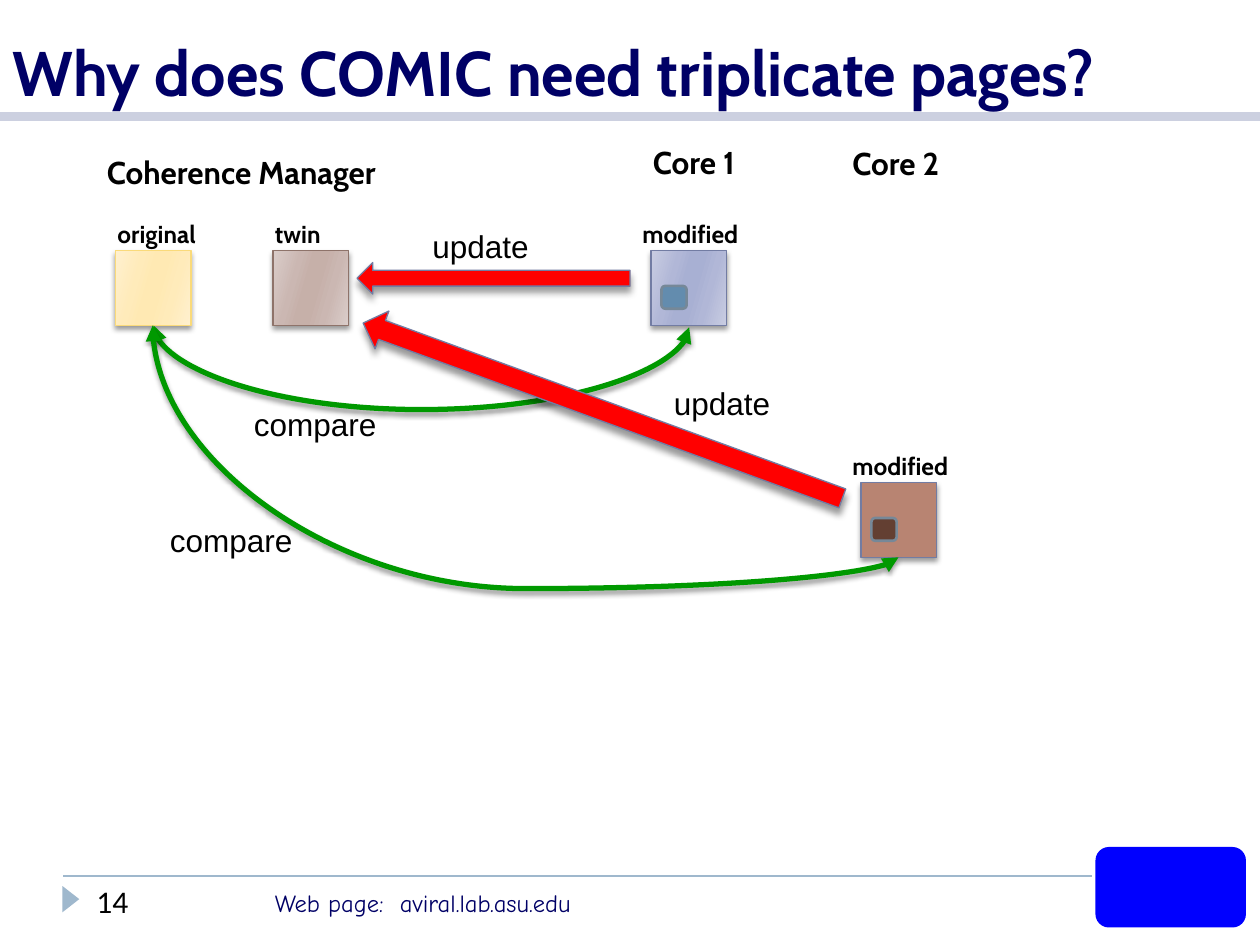
"""Build the slide on why COMIC keeps three versions of each page."""
import pptx
import pptx.util
import pptx.dml.color
import pptx.enum.shapes
import pptx.enum.text
import pptx.oxml
import pptx.oxml.ns

Pt = pptx.util.Pt
SHAPES = pptx.enum.shapes.MSO_SHAPE
CONNECTORS = pptx.enum.shapes.MSO_CONNECTOR
NAMESPACE = pptx.oxml.ns.nsdecls("a")

COLORS = {
    "navy": "000066", "black": "000000", "band": "CCD0E0", "rule": "9FB8CD",
    "red": "FF0000", "green": "009900", "outline": "727CA3", "mark line": "768898",
    "blue mark": "638CAE", "brown mark": "633F32", "brown": "B88472",
    "yellow line": "FADA7A", "taupe line": "8E736A", "emblem": "0000FF",
}
GRADIENTS = {
    "blue": ("C9CDE2", "B1B7D7", "A8B0D3"),
    "taupe": ("DACDCA", "CBB7B2", "C6B0A9"),
    "yellow": ("FFF0CF", "FFEBBA", "FFE9B3"),
}
GRADIENT_STOPS = ((0, 0), (30, 1), (45, 2), (55, 2), (73, 1), (100, 0))

STYLES = {
    "title": {"name": "Cabin", "size": Pt(36), "bold": True, "color": "navy"},
    "heading": {"name": "Cabin", "size": Pt(18), "bold": True, "color": "black"},
    "page": {"name": "Cabin", "size": Pt(14), "bold": True, "color": "black"},
    "action": {"name": "Arial", "size": Pt(18), "bold": False, "color": "black"},
    "number": {"name": "Calibri", "size": Pt(18), "bold": False, "color": "black"},
    "footer": {"name": "Comic Neue", "size": Pt(14), "bold": False, "color": "navy"},
}
TEXTS = [
    ("Why does COMIC need triplicate pages?", "title", (0, 0, 720, 66)),
    ("Coherence Manager", "heading", (54, 84, 186, 29)),
    ("Core 1", "heading", (366, 78, 72, 29)),
    ("Core 2", "heading", (480, 79, 78, 29)),
    ("original", "page", (60, 121.8, 66, 24)),
    ("twin", "page", (150, 121.8, 48, 24)),
    ("modified", "page", (360, 121.8, 72, 24)),
    ("modified", "page", (480, 254, 72, 24)),
    ("update", "action", (240, 126, 90, 29)),
    ("update", "action", (378, 216, 90, 29)),
    ("compare", "action", (138, 228, 90, 29)),
    ("compare", "action", (90, 294, 90, 29)),
    ("14", "number", (48, 500.6, 101, 29)),
    ("Web page:\u00a0 aviral.lab.asu.edu".replace("\u00a0", " "), "footer", (150, 504, 270, 24)),
]
PAGE_SIZE = (43.2, 42.8)
PAGES = [
    ((66, 143.2), "yellow", "yellow line", None),
    ((156, 143.2), "taupe", "taupe line", None),
    ((372, 143.2), "blue", "outline", "blue mark"),
    ((492, 275.8), "brown", "outline", "brown mark"),
]
COMPARISONS = [((87.8, 186), (393.8, 187), 234.4), ((87.2, 186), (513.4, 318.5), 336.4)]
UPDATES = [((204, 150, 156, 18), 0), ((198.6, 223.2, 291.6, 23), 20.1)]
RULES = [((36, 500.4), (624, 500.4), "rule", 1), ((0, 66.4), (720, 66.4), "band", 5)]


def rgb(name):
    return pptx.dml.color.RGBColor.from_string(COLORS[name])


def add_effects(shape, blur=None, distance=None):
    shadow = "" if blur is None else (
        f'<a:outerShdw blurRad="{Pt(blur)}" dist="{Pt(distance)}" dir="5400000" rotWithShape="0">'
        '<a:srgbClr val="000000"><a:alpha val="40000"/></a:srgbClr></a:outerShdw>')
    shape._element.spPr.append(pptx.oxml.parse_xml(f"<a:effectLst {NAMESPACE}>{shadow}</a:effectLst>"))


def add_text(slide, text, style, box):
    frame = slide.shapes.add_textbox(*map(Pt, box)).text_frame
    anchors = pptx.enum.text.MSO_ANCHOR
    frame.word_wrap = True
    frame.vertical_anchor = anchors.BOTTOM if style == "title" else anchors.TOP
    paragraph = frame.paragraphs[0]
    paragraph.text = text
    for attribute, value in STYLES[style].items():
        if attribute == "color":
            paragraph.font.color.rgb = rgb(value)
        else:
            setattr(paragraph.font, attribute, value)


def fill_gradient(shape, colors):
    shape.fill.gradient()
    shape.fill.gradient_angle = 344
    stops = shape._element.spPr.find(".//" + pptx.oxml.ns.qn("a:gsLst"))
    for stop in list(stops):
        stops.remove(stop)
    for position, index in GRADIENT_STOPS:
        stops.append(pptx.oxml.parse_xml(
            f'<a:gs {NAMESPACE} pos="{position * 1000}"><a:srgbClr val="{colors[index]}"/></a:gs>'))


def add_figure(slide, kind, box, fill, line=None, width=0.75, rotation=0, shadow=None):
    shape = slide.shapes.add_shape(kind, *map(Pt, box))
    shape.rotation = rotation
    if fill in GRADIENTS:
        fill_gradient(shape, GRADIENTS[fill])
    else:
        shape.fill.solid()
        shape.fill.fore_color.rgb = rgb(fill)
    if line:
        shape.line.color.rgb = rgb(line)
        shape.line.width = Pt(width)
    else:
        shape.line.fill.background()
    if shadow:
        add_effects(shape, *shadow)
    else:
        shape.shadow.inherit = False


def add_line(slide, kind, start, end, color, width):
    connector = slide.shapes.add_connector(kind, *map(Pt, start + end))
    connector.line.color.rgb = rgb(color)
    connector.line.width = Pt(width)
    return connector


def add_comparison(slide, start, end, floor):
    (left, top), (right, bottom) = start, end
    span, drop = right - left, bottom - top
    center_x, center_y = (left + right) / 2, (top + bottom) / 2
    connector = add_line(slide, CONNECTORS.CURVE, (center_x + drop / 2, center_y - span / 2),
                         (center_x - drop / 2, center_y + span / 2), "green", 3)
    properties = connector._element.spPr
    properties.find(pptx.oxml.ns.qn("a:xfrm")).set("rot", str(270 * 60000))
    bend = round((floor - top) / drop * 100000)
    properties.find(".//" + pptx.oxml.ns.qn("a:avLst")).append(
        pptx.oxml.parse_xml(f'<a:gd {NAMESPACE} name="adj1" fmla="val {bend}"/>'))
    for tag in ("headEnd", "tailEnd"):
        properties.find(pptx.oxml.ns.qn("a:ln")).append(
            pptx.oxml.parse_xml(f'<a:{tag} {NAMESPACE} type="triangle"/>'))
    add_effects(connector, 3, 2)


def main():
    presentation = pptx.Presentation()
    presentation.slide_width, presentation.slide_height = Pt(720), Pt(540)
    slide = presentation.slides.add_slide(presentation.slide_layouts[6])

    for start, end, color, width in RULES:
        add_effects(add_line(slide, CONNECTORS.STRAIGHT, start, end, color, width))
    add_figure(slide, SHAPES.ISOSCELES_TRIANGLE, (33, 509, 15, 9.6), "rule", rotation=90)
    add_figure(slide, SHAPES.ROUNDED_RECTANGLE, (626, 484, 86, 46), "emblem")

    for (left, top), fill, line, mark in PAGES:
        add_figure(slide, SHAPES.RECTANGLE, (left, top, *PAGE_SIZE), fill, line, shadow=(3, 2))
        if mark:
            add_figure(slide, SHAPES.ROUNDED_RECTANGLE, (left + 6, top + 20.2, 14.4, 13),
                       mark, "mark line", 1.5)
    for start, end, floor in COMPARISONS:
        add_comparison(slide, start, end, floor)
    for box, rotation in UPDATES:
        add_figure(slide, SHAPES.LEFT_ARROW, box, "red", "outline", rotation=rotation, shadow=(4, 3.4))
    for text, style, box in TEXTS:
        add_text(slide, text, style, box)

    presentation.save("out.pptx")


if __name__ == "__main__":
    main()
